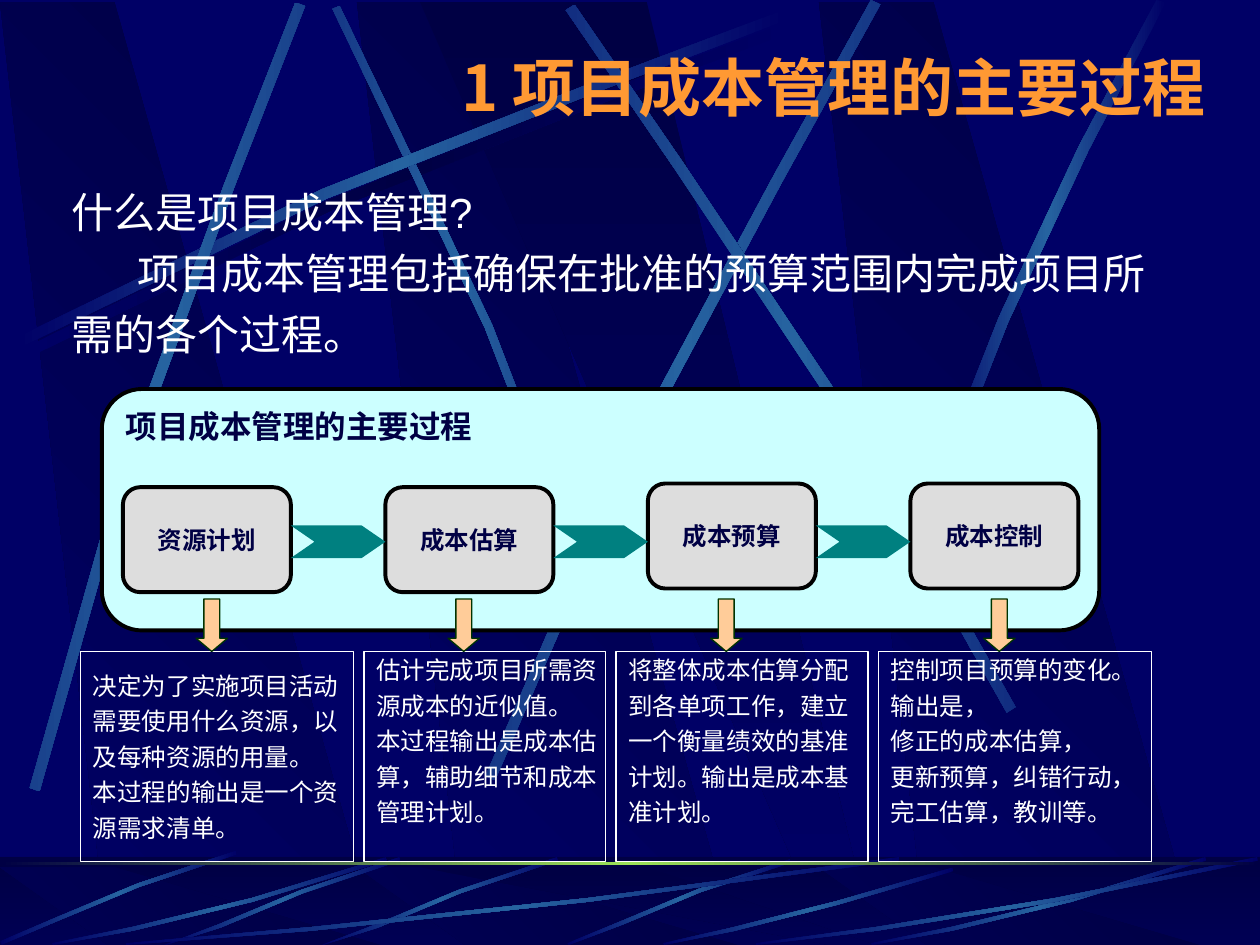
from math import cos, hypot, radians, sin

from lxml import etree
from pptx import Presentation, util as u
from pptx.dml.color import RGBColor
from pptx.enum import shapes, text
from pptx.oxml.ns import qn

COLS, ROWS = 120, 90
UNIT = u.Inches(10) / COLS
C = {
    "navy": "000066", "dark": "000044", "beam": "2663A0", "glow": "9CE157",
    "orange": "FF9933", "white": "FFFFFF", "black": "000000", "ice": "CCFFFF",
    "grey": "DDDDDD", "teal": "008080", "peach": "FFCC99", "forest": "003300",
}
CJK = "Noto Sans CJK SC"
SHADE, BEAM = ("dark", "navy"), ("navy", "beam", "navy")
BEAMS = [
    (0, (1.8, 32.6), (31.7, 16), (62.2, 6.8), (74.6, 1.5)),
    (311.7, (3.3, 75.2), (10.8, 42.1), (24.2, 12.7), (28.6, 0.4)),
    (321.6, (46.7, 74.1), (59, 40.4), (77.2, 12.7), (83.4, 0.2)),
    (34.8, (96.3, 67.6), (81.2, 37.1), (61.3, 11.8), (54.3, 0.7)),
    (0, (88.9, 47.4), (95, 30), (103.5, 13), (110.6, 0)),
]
STEPS = ["资源计划", "成本估算", "成本预算", "成本控制"]
CARDS = [
    (7.67, 26, 18.67, ["决定为了实施项目活动", "需要使用什么资源，以", "及每种资源的用量。",
                       "本过程的输出是一个资", "源需求清单。"]),
    (34.67, 23, 42.67, ["估计完成项目所需资", "源成本的近似值。", "本过程输出是成本估",
                        "算，辅助细节和成本", "管理计划。"]),
    (58.67, 24, 67.67, ["将整体成本估算分配", "到各单项工作，建立", "一个衡量绩效的基准",
                        "计划。输出是成本基", "准计划。"]),
    (83.67, 26, 93.67, ["控制项目预算的变化。", "输出是，", "修正的成本估算，",
                        "更新预算，纠错行动，", "完工估算，教训等。"]),
]


def rgb(name):
    """Return the named colour."""
    return RGBColor.from_string(C[name])


def emu(*cells):
    """Turn grid cells into lengths."""
    return [u.Emu(round(c * UNIT)) for c in cells]


def paint(sp, fill=None, line=None, width=0.75):
    """Set a flat fill and an outline, or none."""
    sp.shadow.inherit = False
    if fill:
        sp.fill.solid()
        sp.fill.fore_color.rgb = rgb(fill)
    else:
        sp.fill.background()
    if line:
        sp.line.color.rgb = rgb(line)
        sp.line.width = u.Pt(width)
    else:
        sp.line.fill.background()
    return sp


def blend(sp, names, angle):
    """Fill a shape with evenly spaced gradient stops."""
    paint(sp)
    sp.fill.gradient()
    grad = sp._element.spPr.find(qn("a:gradFill"))
    grad.set("rotWithShape", "0")
    stops = grad.find(qn("a:gsLst"))
    for old in list(stops):
        stops.remove(old)
    for i, name in enumerate(names):
        gs = etree.SubElement(stops, qn("a:gs"), pos=str(100000 * i // (len(names) - 1)))
        etree.SubElement(gs, qn("a:srgbClr"), val=C[name])
    grad.find(qn("a:lin")).set("ang", str(angle * 60000))


def shape(s, kind, box, **look):
    """Add a painted preset shape in a grid box."""
    return paint(s.shapes.add_shape(getattr(shapes.MSO_SHAPE, kind), *emu(*box)), **look)


def outline(s, points):
    """Add a closed polygon."""
    pts = [emu(x, y) for x, y in points]
    fb = s.shapes.build_freeform(*pts[0], scale=1.0)
    fb.add_line_segments(pts[1:], close=True)
    return fb.convert_to_shape()


def write(sp, lines, size=14, color="white", font="Arial", bold=False, align="LEFT",
          anchor="TOP", wrap=False, top=0.05, before=0.25, indents=()):
    """Write paragraphs into a shape."""
    tf = sp.text_frame
    tf.word_wrap = wrap
    tf.vertical_anchor = getattr(text.MSO_ANCHOR, anchor)
    tf.margin_top = u.Inches(top)
    for i, line in enumerate(lines):
        p = tf.paragraphs[0] if i == 0 else tf.add_paragraph()
        p.alignment = getattr(text.PP_ALIGN, align)
        p.space_before = u.Pt(size * before)
        if i < len(indents):
            p._p.get_or_add_pPr().set("indent", str(emu(indents[i])[0]))
        r = p.add_run()
        r.text = line
        r.font.size, r.font.bold, r.font.name = u.Pt(size), bold, font
        r.font.color.rgb = rgb(color)
        etree.SubElement(r._r.get_or_add_rPr(), qn("a:ea"), typeface=CJK)


def turn(x, y, angle):
    """Turn a point clockwise about the grid's corner."""
    a = radians(angle)
    return x * cos(a) - y * sin(a), x * sin(a) + y * cos(a)


def streak(s, spine, width, rot=0, names=BEAM):
    """Draw a thin band along a cubic curve, in a frame turned by rot."""
    (x0, y0), (x3, y3) = spine[0], spine[-1]
    length = hypot(x3 - x0, y3 - y0)
    nx, ny = (y0 - y3) / length * width / 2, (x3 - x0) / length * width / 2
    curve = []
    for t in (0, 0.33, 0.67, 1):
        weights = ((1 - t) ** 3, 3 * t * (1 - t) ** 2, 3 * t * t * (1 - t), t ** 3)
        curve.append([sum(w * v for w, v in zip(weights, axis)) for axis in zip(*spine)])
    band = [(x + nx, y + ny) for x, y in curve] + [(x - nx, y - ny) for x, y in curve[::-1]]
    sp = outline(s, [turn(x, min(max(y, 0), ROWS), -rot) for x, y in band])
    cx, cy = turn(sp.left + sp.width / 2, sp.top + sp.height / 2, rot)
    sp.left, sp.top = round(cx - sp.width / 2), round(cy - sp.height / 2)
    sp.rotation = rot
    blend(sp, names, 0)


def panels(s, top, bottom):
    """Draw the leaning background panels between two rows."""
    for x in (34, 0, 78):
        sp = outline(s, [(x + 10.3, bottom), (x + 36.2, bottom), (x + 10.9, top), (x, top)])
        blend(sp, SHADE, 135)
    blend(outline(s, [(40, top), (79, bottom), (83.3, bottom), (61.6, top)]), SHADE, 90)


def beams(s):
    """Draw the long crossing beams of the background."""
    shadow = [(2.5, 33.6), (32.4, 17), (63, 7.7), (75.4, 2.5)]
    streak(s, shadow, 1, names=("navy", "dark", "navy"))
    streak(s, [(54.8, 52.5), (47.4, 29.6), (35.8, 9.8), (32, 0.7)], 0.75, rot=45)
    for rot, *spine in BEAMS:
        streak(s, spine, 1, rot)


def floor(s, box):
    """Draw the dark strip at the foot with its beams and glowing edge."""
    x, y, w, h = box
    blend(shape(s, "RECTANGLE", box), SHADE, 90)
    panels(s, y + 1, y + h)
    veil = shape(s, "RECTANGLE", box, fill="dark")
    etree.SubElement(veil._element.spPr.find(qn("a:solidFill"))[0], qn("a:alpha"), val="50000")
    streak(s, [(75.3, 82), (66, 84.4), (58, 88.7), (54.1, 90)], 0.35)
    for shift, lift in ((0, 0), (15, 0), (30.6, 0.6)):
        arc = [(53.1, 81.8), (43.2, 84.5), (34.5, 89), (30.7, 90.4)]
        streak(s, [(ax - shift, ay - lift) for ax, ay in arc], 0.35, rot=314.9)
    for left, span, top in ((12, 74, 81.8), (5, 32, 81.8), (63.2, 27.7, 82.8),
                            (83, 32, 81.8), (72, 48, 81.8)):
        sweep = [(0.995, top), (0.58, 86.4), (0.17, 89), (0, 90)]
        streak(s, [(left + span * k, sy) for k, sy in sweep], 0.35)
    blend(shape(s, "RECTANGLE", (x, y + 0.5, w, 0.25)), ("dark", "glow", "dark"), 0)


def heading(s, title_box, body_box):
    """Place the title and the introduction."""
    write(s.shapes.add_textbox(*emu(*title_box)), ["1 项目成本管理的主要过程"], size=36,
          color="orange", font=CJK, bold=True, align="RIGHT", anchor="MIDDLE", wrap=True, before=0)
    write(s.shapes.add_textbox(*emu(*body_box)),
          ["什么是项目成本管理?", "项目成本管理包括确保在批准的预算范围内完成项目所", "需的各个过程。"],
          size=24, wrap=True, indents=(0, 6.3, 0))


def process(s, box):
    """Draw the process panel with its four linked steps."""
    x, y, w, h = box
    rounded = "FLOWCHART_ALTERNATE_PROCESS"
    sp = shape(s, rounded, box, fill="ice", line="black", width=2.25)
    write(sp, ["项目成本管理的主要过程"], size=18, color="dark", bold=True)
    pitch, width = 25, 16
    for i, name in enumerate(STEPS):
        left, drop = x + 2 + pitch * i, 9.35 if i < 2 else 9
        sp = shape(s, rounded, (left, y + drop, width, 10), fill="grey", line="black", width=2.25)
        write(sp, [name], color="dark", font="Times New Roman", bold=True,
              align="CENTER", anchor="MIDDLE", before=0)
    for i in range(len(STEPS) - 1):
        ax, ay = x + 2 + width + pitch * i, y + 13
        notch = [(0, 0), (6.75, 0), (9, 1.55), (6.75, 3.1), (0, 3.1), (2.25, 1.55)]
        paint(outline(s, [(ax + px, ay + py) for px, py in notch]), fill="teal")


def cards(s, top, height):
    """Draw the four explanations and the arrows that lead to them."""
    for i, (x, w, arrow, lines) in enumerate(CARDS):
        sp = shape(s, "RECTANGLE", (x, top, w, height), line="white")
        write(sp, lines, anchor="TOP" if i else "MIDDLE", top=0.03 if i else 0.05)
        sp = shape(s, "DOWN_ARROW", (arrow, top - 5, 3, 5), fill="peach", line="forest")
        sp.adjustments[1] = 0.42


def main():
    """Build and save the slide."""
    prs = Presentation()
    prs.slide_width, prs.slide_height = emu(COLS, ROWS)
    s = prs.slides.add_slide(prs.slide_layouts[6])
    s.background.fill.solid()
    s.background.fill.fore_color.rgb = rgb("navy")
    panels(s, 0.2, ROWS)
    beams(s)
    floor(s, (0, 81.6, COLS, 8.4))
    heading(s, (14, 4, 102, 8.4), (5.6, 17.2, 108.2, 17.4))
    process(s, (9.7, 37.05, 95, 23))
    cards(s, 62.05, 20)
    prs.save("out.pptx")


if __name__ == "__main__":
    main()
